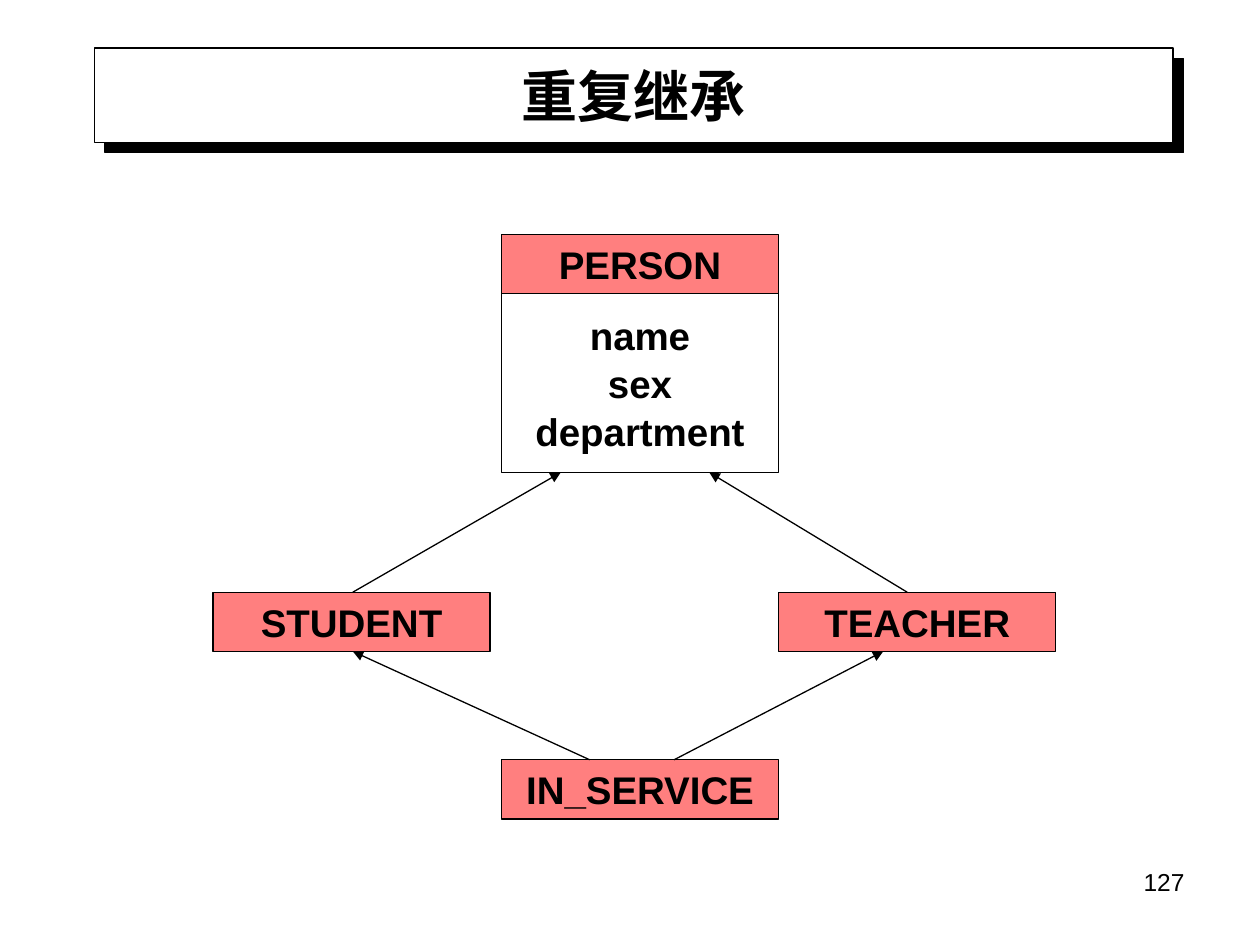
from lxml import etree
from pptx import Presentation
from pptx.dml.color import RGBColor
from pptx.enum.shapes import MSO_CONNECTOR as CONN, MSO_SHAPE as SHAPE
from pptx.enum.text import MSO_ANCHOR as ANCHOR, PP_ALIGN as ALIGN
from pptx.oxml.ns import qn
from pptx.util import Inches, Pt

COLS, ROWS = 100, 75
BLACK, WHITE, RED = "000000", "FFFFFF", "FF0000"
CLASS_W, HEAD_H, ATTR_H = 22, 4.7, 14.2

prs = Presentation()
prs.slide_width, prs.slide_height = Inches(10), Inches(7.5)
CELL = prs.slide_width / COLS


def grid(*values):
    return [round(v * CELL) for v in values]


def color(hex_):
    return RGBColor.from_string(hex_)


def add_xml(parent, tag, **attrs):
    return etree.SubElement(parent, qn(tag), attrs)


def write(sp, text, size=22, bold=True, align=ALIGN.CENTER,
          anchor=ANCHOR.MIDDLE, wrap=False, gap=1):
    tf = sp.text_frame
    tf.word_wrap, tf.vertical_anchor = wrap, anchor
    for i, line in enumerate(text.split("\n")):
        p = tf.paragraphs[0] if i == 0 else tf.add_paragraph()
        p.alignment = align
        if i:
            p.space_before = Pt(gap)
        r = p.add_run()
        r.text = line
        r.font.name, r.font.size, r.font.bold = "Arial", Pt(size), bold
        r.font.color.rgb = color(BLACK)


def add_rect(s, box, fill=None, alpha=None):
    sp = s.shapes.add_shape(SHAPE.RECTANGLE, *grid(*box))
    sp.shadow.inherit = False
    sp.line.color.rgb, sp.line.width = color(BLACK), Pt(0.75)
    if fill:
        sp.fill.solid()
        sp.fill.fore_color.rgb = color(fill)
    else:
        sp.fill.background()
    if alpha:
        clr = sp._element.spPr.find(qn("a:solidFill")).find(qn("a:srgbClr"))
        add_xml(clr, "a:alpha", val=str(alpha * 1000))
    return sp


def add_arrow(s, start, end):
    cn = s.shapes.add_connector(CONN.STRAIGHT, *grid(*start, *end))
    cn.line.color.rgb, cn.line.width = color(BLACK), Pt(0.75)
    add_xml(cn.line._get_or_add_ln(), "a:tailEnd", type="triangle")
    add_xml(cn._element.spPr, "a:effectLst")


def add_class(s, x, y, name, attrs=None):
    write(add_rect(s, (x, y, CLASS_W, HEAD_H), RED, 50), name)
    if attrs:
        write(add_rect(s, (x, y + HEAD_H, CLASS_W, ATTR_H)), attrs)


def title_bar(s, box, text):
    bar = add_rect(s, box, WHITE)
    effects = bar._element.spPr.find(qn("a:effectLst"))
    shadow = add_xml(effects, "a:outerShdw", dist=str(Pt(8.5)),
                     dir="2700000", algn="ctr", rotWithShape="0")
    add_xml(shadow, "a:srgbClr", val=BLACK)
    title = s.shapes.title
    title.left, title.top, title.width, title.height = grid(*box)
    write(title, text, size=32, wrap=True)
    s.shapes._spTree.append(title._element)


def class_diagram(s, box):
    x, y, w, h = box
    mid, right = x + 22.9, x + w - CLASS_W
    person_end = y + HEAD_H + ATTR_H
    child, leaf = y + 28.4, y + h - HEAD_H
    child_end = child + HEAD_H
    add_class(s, mid, y, "PERSON", "name\nsex\ndepartment")
    add_class(s, x, child, "STUDENT")
    add_class(s, right, child, "TEACHER")
    add_class(s, mid, leaf, "IN_SERVICE")
    for x1, y1, x2, y2 in (
        (11.1, child, 27.6, person_end),
        (55.1, child, 39.4, person_end),
        (29.9, leaf, 11.1, child_end),
        (36.6, leaf, 53.2, child_end),
    ):
        add_arrow(s, (x + x1, y1), (x + x2, y2))


def page_number(s, box, number):
    tb = s.shapes.add_textbox(*grid(*box))
    write(tb, number, size=14, bold=False, align=ALIGN.RIGHT,
          anchor=ANCHOR.TOP, wrap=True)


s = prs.slides.add_slide(prs.slide_layouts[5])
title_bar(s, (7.5, 3.8, 85.6, 7.5), "重复继承")
class_diagram(s, (16.9, 18.6, 66.9, 46.4))
page_number(s, (71.7, 68.3, 23.3, 5.2), "127")
prs.save("out.pptx")
